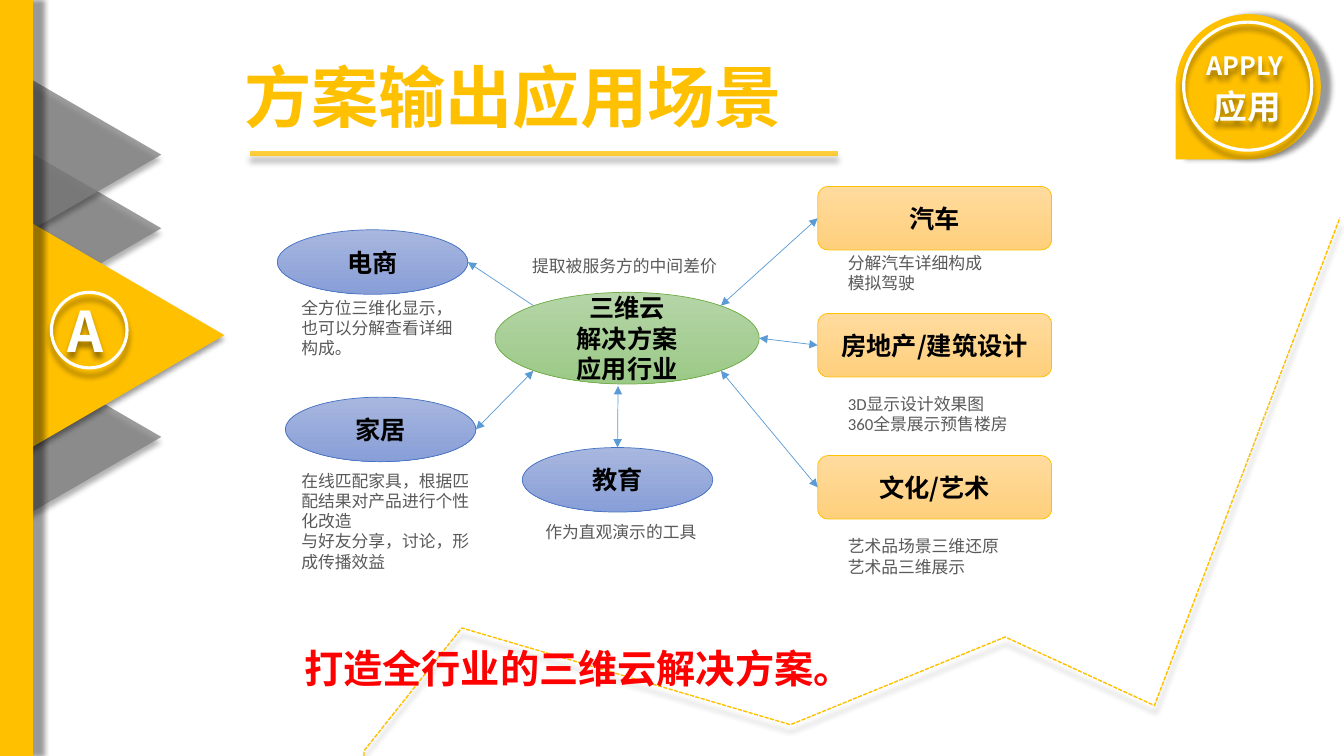
from lxml import etree
from pptx import Presentation, util as u
from pptx.dml.color import RGBColor
from pptx.enum import dml, shapes, text
from pptx.oxml.ns import qn

GOLD, GREY, WHITE = RGBColor(255, 192, 0), RGBColor(128, 128, 128), RGBColor(255, 255, 255)
BLACK, RED, SLATE = RGBColor(0, 0, 0), RGBColor(255, 0, 0), RGBColor(89, 89, 89)
BLUE, GREEN, SKY = RGBColor(68, 114, 196), RGBColor(112, 173, 71), RGBColor(91, 155, 213)
LEAF = (RGBColor(181, 213, 167), RGBColor(156, 201, 135))
SAND = (RGBColor(255, 219, 158), RGBColor(255, 208, 124))
LILAC = (RGBColor(168, 183, 223), RGBColor(136, 158, 215))
CJK, SANS = "Noto Sans CJK SC", "Calibri"
KIND = shapes.MSO_SHAPE
CELL = u.Inches(0.1)  # side of one square of the layout grid
DIAG = 0.71           # share of an ellipse's radii at its diagonals
MID, LEFT = text.PP_ALIGN.CENTER, text.PP_ALIGN.LEFT


def place(box, x, y, w, h):
    """Turn grid cells, counted from the box's corner, into lengths."""
    return [int(n * CELL) for n in (box[0] + x, box[1] + y, w, h)]


def tag(parent, name, **attrs):
    return etree.SubElement(parent, qn(name), attrs)


def shade(shape, angle=90, dist=4):
    shape.shadow.inherit = False
    effects = shape._element.spPr.find(qn("a:effectLst"))
    cast = tag(effects, "a:outerShdw", blurRad=str(u.Pt(4)), dist=str(u.Pt(dist)),
               dir=str(angle * 60000), algn="t", rotWithShape="0")
    tag(tag(cast, "a:srgbClr", val="000000"), "a:alpha", val="40000")


def draw(tree, kind, at, fill=None, line=None, width=0.5, turn=0, alpha=None):
    """Add a shape with a plain fill, a two-colour fill or no fill."""
    shape = tree.add_shape(kind, *at)
    shape.shadow.inherit = False
    shape.rotation = turn
    if fill is None:
        shape.fill.background()
    elif isinstance(fill, RGBColor):
        shape.fill.solid()
        shape.fill.fore_color.rgb = fill
        if alpha:
            tone = shape._element.spPr.find(qn("a:solidFill"))[0]
            tag(tone, "a:alpha", val=str(alpha * 1000))
    else:
        shape.fill.gradient()
        shape.fill.gradient_angle = 270
        for stop, tone in zip(shape.fill.gradient_stops, fill):
            stop.color.rgb = tone
    if line is None:
        shape.line.fill.background()
    else:
        shape.line.color.rgb = line
        shape.line.width = u.Pt(width)
    return shape


def write(shape, words, size, color, face=CJK, bold=True, align=LEFT, wrap=True):
    frame = shape.text_frame
    frame.word_wrap = wrap
    frame.auto_size = text.MSO_AUTO_SIZE.NONE
    frame.text = words
    for para in frame.paragraphs:
        para.alignment = align
        font = para.font
        font.size, font.bold, font.name = u.Pt(size), bold, face
        font.color.rgb = color
        tag(font._element, "a:ea", typeface=CJK)


def label(tree, at, *args, **opts):
    item = tree.add_textbox(*at)
    write(item, *args, **opts)
    return item


def trend(slide, box):
    """Dashed zigzag behind the content."""
    spots = [(0, 53.4), (0, 52.9), (9.7, 40.7), (42.3, 50.3),
             (63.6, 41.6), (78.4, 48.4), (96.8, 0)]
    spots = [place(box, x, y, 0, 0)[:2] for x, y in spots]
    path = slide.shapes.build_freeform(*spots[0])
    path.add_line_segments(spots[1:], close=False)
    shape = path.convert_to_shape()
    shape.fill.background()
    shape.line.color.rgb = GOLD
    shape.line.width = u.Pt(1)
    shape.line.dash_style = dml.MSO_LINE.SQUARE_DOT
    shade(shape, dist=5)


def ribbon(slide, box):
    """Side bar with pennants and the section letter."""
    tree = slide.shapes
    for y in (36.4, 15.7, 8.4):
        shade(draw(tree, KIND.ISOSCELES_TRIANGLE, place(box, 1, y, 16.1, 13.9),
                   GREY, turn=90, alpha=77))
    shade(draw(tree, KIND.ISOSCELES_TRIANGLE, place(box, 0.5, 23.2, 23.4, 20.1),
               GOLD, turn=90), dist=3)
    shade(draw(tree, KIND.RECTANGLE, place(box, 0, 0, 3.3, 75), GOLD), 0, 7)
    shade(label(tree, place(box, 5.7, 28.9, 6.2, 7.7), "A", 40, WHITE, wrap=False))
    shade(draw(tree, KIND.OVAL, place(box, 5.1, 29, 7.5, 7.5), None, WHITE, 2.25), dist=5)


def badge(slide, box):
    """Drop-shaped section mark."""
    tree = slide.shapes.add_group_shape().shapes
    shade(draw(tree, KIND.TEAR, place(box, 0, 0, 14.4, 14.4), GOLD, turn=180), 0, 7)
    for at, words, size in (((2.1, 3.1, 10.1, 4), "APPLY", 18),
                            ((2.8, 6.6, 8.8, 5), "应用", 24)):
        shade(label(tree, place(box, *at), words, size, WHITE, wrap=False))
    shade(draw(tree, KIND.OVAL, place(box, 0.8, 0.8, 12.7, 12.7), None, WHITE, 2.25), dist=5)


def header(slide, box):
    title = slide.shapes.title
    title.left, title.top, title.width, title.height = place(box, 0, 0, 55.9, 9.1)
    write(title, "方案输出应用场景", 48, GOLD, wrap=False)
    title.text_frame.vertical_anchor = text.MSO_ANCHOR.TOP
    shade(draw(slide.shapes, KIND.RECTANGLE, place(box, 1.6, 10, 58.3, 0.5), GOLD, alpha=77))


def rim(oval, dx, dy):
    """Point on an ellipse, in shares of its radii from the centre."""
    x, y, w, h = oval
    return x + w / 2 * (1 + dx), y + h / 2 * (1 + dy)


def arrow(slide, box, start, end, node=None, both=True):
    """Arrow from start, or from the left side of node, to end."""
    ends = [n for spot in (start, end) for n in place(box, *spot, 0, 0)[:2]]
    link = slide.shapes.add_connector(shapes.MSO_CONNECTOR.STRAIGHT, *ends)
    if node is not None:
        link.begin_connect(node, 1)
    link.line.color.rgb = SKY
    link.line.width = u.Pt(0.5)
    line = link.line._get_or_add_ln()
    if both:
        tag(line, "a:headEnd", type="triangle")
    tag(line, "a:tailEnd", type="triangle")
    tag(link._element.spPr, "a:effectLst")


def industry(slide, box):
    """Hub with its six industries and their notes."""
    tree = slide.shapes
    notes = [
        ((1.4, 10.5, 18, 9.1), "全方位三维化显示，也可以分解查看详细构成。"),
        ((1.4, 27.7, 19.9, 15.1),
         "在线匹配家具，根据匹配结果对产品进行个性化改造\n与好友分享，讨论，形成传播效益"),
        ((25.6, 32.8, 17.2, 5), "作为直观演示的工具"),
        ((24.3, 6.4, 21.1, 3), "提取被服务方的中间差价"),
        ((55.6, 6.1, 15.5, 5), "分解汽车详细构成\n模拟驾驶"),
        ((55.6, 20.1, 18.1, 5), "3D显示设计效果图\n360全景展示预售楼房"),
        ((55.6, 34.2, 17.2, 7.1), "艺术品场景三维还原\n艺术品三维展示")]
    for at, words in notes:
        label(tree, place(box, *at), words, 12, SLATE, face=SANS, bold=False)

    def node(kind, at, words, fill, line):
        shape = draw(tree, kind, place(box, *at), fill, line)
        write(shape, words, 18, BLACK, align=MID)
        shape.text_frame.vertical_anchor = text.MSO_ANCHOR.MIDDLE
        return shape

    hub = (21.6, 10.5, 26.2, 9.1)
    node(KIND.OVAL, hub, "三维云\n解决方案\n应用行业", LEAF, GREEN)

    # Ellipses: place, name, arrow start, arrow end, two heads
    shop, home, school = [(x, y, 18.9, 6.4) for x, y in ((0, 4.3), (0.8, 20.9), (24.3, 25.9))]
    for at, words, start, end, both in (
            (shop, "电商", rim(hub, -DIAG, -DIAG), rim(shop, 1, 0), False),
            (home, "家居", rim(home, 1, 0), rim(hub, -DIAG, DIAG), True),
            (school, "教育", rim(school, 0, -1), (33.8, 19.8), True)):
        node(KIND.OVAL, at, words, LILAC, BLUE)
        arrow(slide, box, start, end, both=both)

    # Rectangles: top, name, where the arrow meets the hub
    for y, words, side in ((0, "汽车", (DIAG, -DIAG)), (12.6, "房地产/建筑设计", (1, 0)),
                           (26.7, "文化/艺术", (DIAG, DIAG))):
        card = node(KIND.ROUNDED_RECTANGLE, (53.6, y, 23.2, 6.3), words, SAND, GOLD)
        arrow(slide, box, (53.6, y + 3.15), rim(hub, *side), card)


def slogan(slide, box):
    label(slide.shapes, place(box, 0, 0, 63.7, 10.4), "打造全行业的三维云解决方案。", 28, RED)


def main():
    deck = Presentation()
    deck.slide_width, deck.slide_height = u.Inches(13.33), u.Inches(7.5)
    slide = deck.slides.add_slide(deck.slide_layouts[5])
    trend(slide, (36.1, 21.6))
    ribbon(slide, (0, 0))
    badge(slide, (116.6, 1.4))
    header(slide, (23.2, 5))
    industry(slide, (27.5, 18.5))
    slogan(slide, (29.2, 63.4))
    deck.save("out.pptx")


if __name__ == "__main__":
    main()
